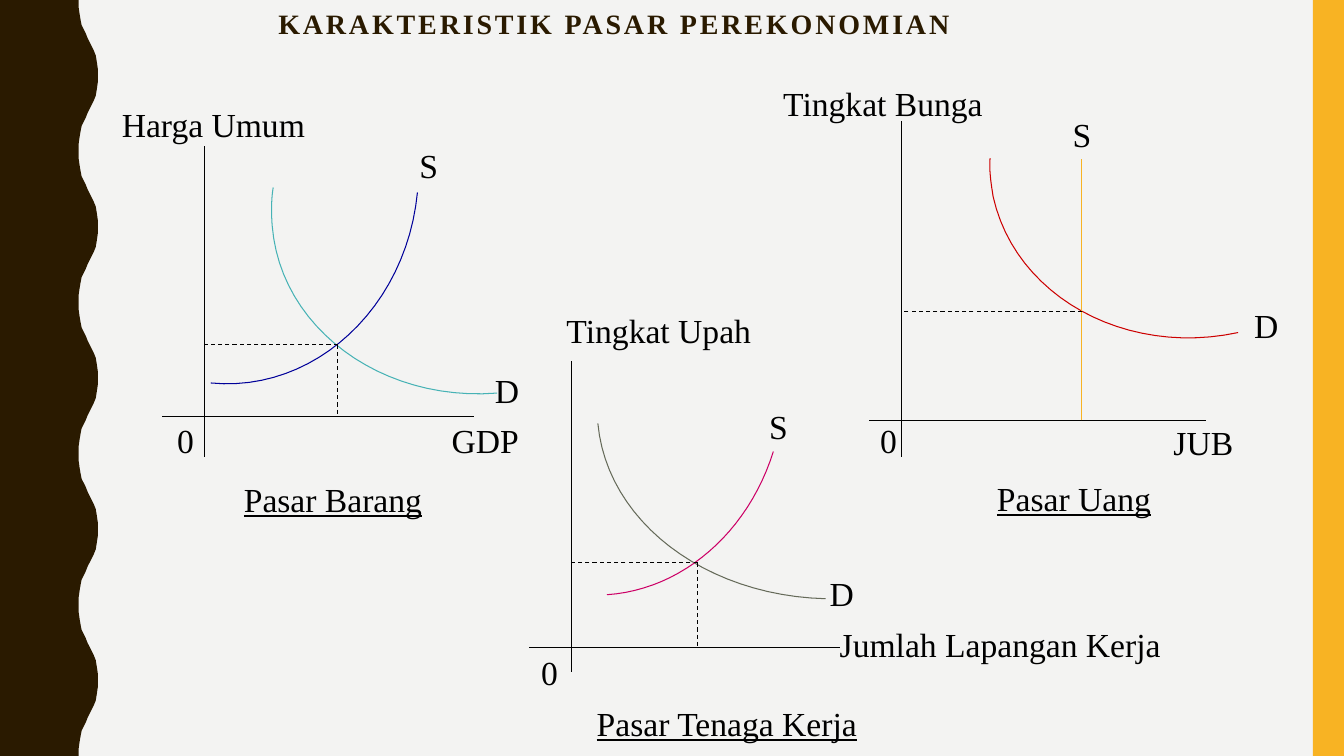
from dataclasses import dataclass

from lxml import etree
from pptx import Presentation
from pptx.dml.color import RGBColor
from pptx.enum.dml import MSO_LINE
from pptx.enum.shapes import MSO_CONNECTOR, MSO_SHAPE
from pptx.enum.text import MSO_ANCHOR, MSO_AUTO_SIZE, PP_ALIGN
from pptx.oxml.ns import qn
from pptx.util import Pt

PX = 9144  # 100 px to the inch
SLIDE_WIDTH, SLIDE_HEIGHT = 1333, 750
DASH = MSO_LINE.DASH
STRAIGHT = MSO_CONNECTOR.STRAIGHT
RECTANGLE = MSO_SHAPE.RECTANGLE
TOP = MSO_ANCHOR.TOP
CENTER = PP_ALIGN.CENTER
FIT_SHAPE, NO_FIT = MSO_AUTO_SIZE.SHAPE_TO_FIT_TEXT, MSO_AUTO_SIZE.NONE


@dataclass(frozen=True)
class Theme:
    font: str = "Times New Roman"
    title_size: int = 20
    label_size: int = 24
    line_width: float = 0.75
    background: str = "F3F3F2"
    dark: str = "2A1A00"
    accent: str = "F8B323"
    ink: str = "000000"


THEME = Theme()


@dataclass(frozen=True)
class Market:
    """A market diagram: all points are relative to the left top of its box.

    Labels are (text, left, top, width); curves are a start point followed by
    three points for each Bezier segment. A supply of two points is straight.
    """
    box: tuple
    origin: tuple
    equilibrium: tuple
    name: tuple
    labels: tuple
    demand: tuple
    supply: tuple
    demand_color: str
    supply_color: str


MARKETS = (
    Market(
        box=(161, 145, 309, 308), origin=(42, 268), equilibrium=(174, 197),
        name=("Pasar Barang", 71, 325, 199),
        labels=(("Harga Umum", -50, -47, 204), ("GDP", 277, 267, 88), ("0", 5, 267, 37),
                ("S", 245, -6, 39), ("D", 320, 217, 45)),
        demand=((332, 245), (217, 254), (117, 180), (109, 79), (108, 66), (108, 53), (110, 41)),
        supply=((253, 46), (242, 160), (151, 245), (48, 235)),
        demand_color="46B2B5", supply_color="000099"),
    Market(
        box=(525, 358, 308, 309), origin=(42, 284), equilibrium=(167, 200),
        name=("Pasar Tenaga Kerja", 57, 334, 281),
        labels=(("Tingkat Upah", 27, -55, 205), ("Jumlah Lapangan Kerja", 298, 256, 341),
                ("0", 2, 284, 37), ("S", 228, 40, 39), ("D", 288, 205, 45)),
        demand=((294, 236), (174, 233), (77, 159), (68, 62)),
        supply=((242, 90), (217, 170), (152, 227), (77, 232)),
        demand_color="656A59", supply_color="CC0066"),
    Market(
        box=(862, 120, 334, 333), origin=(32, 297), equilibrium=(211, 189),
        name=("Pasar Uang", 117, 349, 174),
        labels=(("Tingkat Bunga", -95, -43, 220), ("JUB", 292, 294, 80), ("0", 1, 292, 37),
                ("S", 192, -12, 39), ("D", 372, 178, 45)),
        demand=((366, 210), (254, 234), (145, 174), (123, 75), (121, 62), (119, 50), (120, 37)),
        supply=((211, 297), (211, 38)),
        demand_color="CC0000", supply_color=THEME.accent),
)


def emu(*lengths):
    return [round(length * PX) for length in lengths]


def fill_plain(shape, color):
    shape.shadow.inherit = False
    shape.fill.solid()
    shape.fill.fore_color.rgb = RGBColor.from_string(color)
    shape.line.fill.background()


def style_line(line, color):
    line.color.rgb = RGBColor.from_string(color)
    line.width = Pt(THEME.line_width)


def style_font(font, size, color):
    font.name = THEME.font
    font.size = Pt(size)
    font.color.rgb = RGBColor.from_string(color)


def add_outline(slide, points, close):
    points = [emu(*point) for point in points]
    builder = slide.shapes.build_freeform(*points[0], scale=1.0)
    builder.add_line_segments(points[1:], close=close)
    return builder.convert_to_shape()


def add_line(slide, start, end, color=THEME.ink, dash=None):
    connector = slide.shapes.add_connector(STRAIGHT, *emu(*start, *end))
    style_line(connector.line, color)
    if dash:
        connector.line.dash_style = dash
    etree.SubElement(connector._element.spPr, qn("a:effectLst"))


def bezier_points(controls, steps=24):
    """Sample a chain of cubic Bezier segments."""
    points = [controls[0]]
    for first in range(0, len(controls) - 1, 3):
        segment = controls[first:first + 4]
        for step in range(1, steps + 1):
            t = step / steps
            weights = ((1 - t) ** 3, 3 * t * (1 - t) ** 2, 3 * t * t * (1 - t), t ** 3)
            points.append(tuple(sum(weight * point[axis] for weight, point in zip(weights, segment))
                                for axis in (0, 1)))
    return points


def add_curve(slide, controls, color):
    curve = add_outline(slide, bezier_points(controls), close=False)
    curve.shadow.inherit = False
    curve.fill.background()
    style_line(curve.line, color)


def add_label(slide, text, left, top, width, underline=False):
    frame = slide.shapes.add_textbox(*emu(left, top, width, 50)).text_frame
    frame.word_wrap = False
    frame.auto_size = FIT_SHAPE
    frame.text = text
    font = frame.paragraphs[0].runs[0].font
    style_font(font, THEME.label_size, THEME.ink)
    if underline:
        font.underline = True


def add_wavy_band(slide, left, top, height, waves=5):
    half_wave = ((0, 78), (7, 78), (14, 79), (20, 80), (25, 81), (29, 83), (33, 85), (38, 87),
                 (42, 89), (46, 91), (50, 93), (55, 95), (61, 96), (68, 97), (75, 97))
    period = height / waves
    wave = half_wave + tuple((period - y, x) for y, x in reversed(half_wave[:-1]))
    edge = [(left + x, top + number * period + y) for number in range(waves) for y, x in wave]
    band = add_outline(slide, [(left, top), *edge, (left, top + height)], close=True)
    fill_plain(band, THEME.dark)


def add_side_bar(slide, left, top, width, height):
    fill_plain(slide.shapes.add_shape(RECTANGLE, *emu(left, top, width, height)), THEME.accent)


def set_title(slide, text, left, top, width, height):
    title = slide.shapes.title
    title.left, title.top, title.width, title.height = emu(left, top, width, height)
    frame = title.text_frame
    frame.text = text
    frame.vertical_anchor = TOP
    frame.auto_size = NO_FIT
    paragraph = frame.paragraphs[0]
    paragraph.alignment = CENTER
    paragraph.line_spacing = 0.9
    font = paragraph.runs[0].font
    style_font(font, THEME.title_size, THEME.dark)
    font.bold = True
    paragraph.runs[0]._r.get_or_add_rPr().set("spc", "200")


def add_market(slide, market):
    left, top, width, height = market.box

    def place(x, y):
        return left + x, top + y

    origin_x, origin_y = market.origin
    balance_x, balance_y = market.equilibrium
    balance = place(balance_x, balance_y)
    add_line(slide, place(origin_x, 0), place(origin_x, height))
    add_line(slide, place(0, origin_y), place(width, origin_y))
    add_curve(slide, [place(*point) for point in market.demand], market.demand_color)
    supply = [place(*point) for point in market.supply]
    if len(supply) == 2:
        add_line(slide, *supply, market.supply_color)
    else:
        add_curve(slide, supply, market.supply_color)
        add_line(slide, balance, place(balance_x, origin_y), dash=DASH)
    add_line(slide, balance, place(origin_x, balance_y), dash=DASH)
    for text, x, y, label_width in (*market.labels, market.name):
        add_label(slide, text, *place(x, y), label_width, underline=text == market.name[0])


def main():
    presentation = Presentation()
    presentation.slide_width, presentation.slide_height = emu(SLIDE_WIDTH, SLIDE_HEIGHT)
    slide = presentation.slides.add_slide(presentation.slide_layouts[5])
    slide.background.fill.solid()
    slide.background.fill.fore_color.rgb = RGBColor.from_string(THEME.background)
    add_wavy_band(slide, 0, 0, SLIDE_HEIGHT)
    add_side_bar(slide, SLIDE_WIDTH - 31, 0, 31, SLIDE_HEIGHT)
    set_title(slide, "KARAKTERISTIK PASAR PEREKONOMIAN", 184, 5, 850, 65)
    for market in MARKETS:
        add_market(slide, market)
    presentation.save("out.pptx")


if __name__ == "__main__":
    main()
